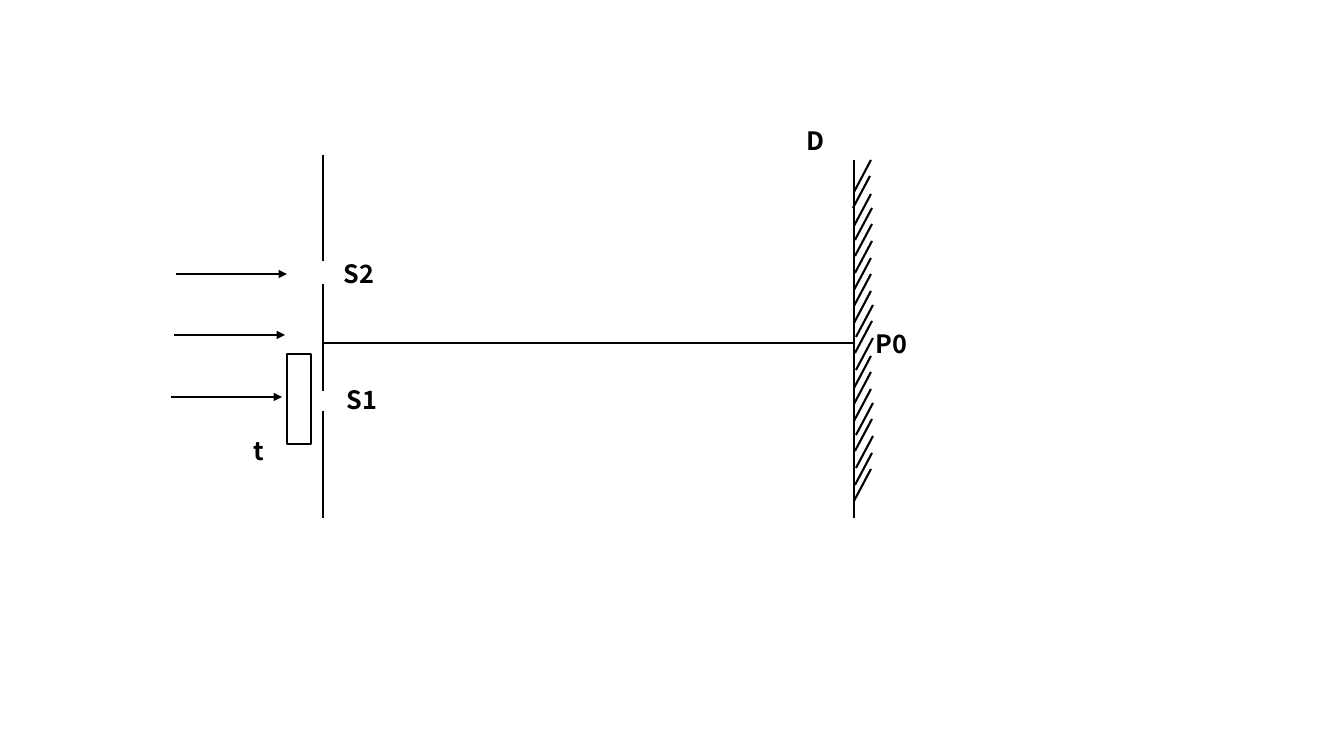
import pptx
import pptx.util
import pptx.dml.color
import pptx.enum.shapes
import pptx.enum.text
import pptx.oxml
import pptx.oxml.ns

THEME = {
    "ink": pptx.dml.color.RGBColor(0, 0, 0),
    "paper": pptx.dml.color.RGBColor(255, 255, 255),
    "font": "Noto Sans CJK SC",
    "text_size": pptx.util.Pt(18),
    "line_width": pptx.util.Pt(1.5),
}

# Content, in pixels
SLIDE_SIZE = (1344, 756)
BARRIER_X = 323
SCREEN_X = 854
AXIS_Y = 343
BARRIER_PARTS = [(284, 391), (155, 261), (411, 518)]  # top, bottom
SCREEN_SPAN = (160, 518)
RAYS = [(176, 274), (174, 335), (171, 397)]  # left, height on slide
RAY_LENGTH = 111
PLATE = (287, 354, 24, 90)
LABELS = [("t", 244, 430), ("S1", 337, 379), ("S2", 334, 253),
          ("P0", 866, 323), ("D", 797, 120)]
LABEL_SIZE = (53, 40)
# Hand-spaced hatching: offset from the screen, top
HATCHES = [(0, 160), (-1, 176), (0, 194), (1, 208), (1, 224),
           (1, 241), (0, 258), (0, 274), (0, 291), (2, 305),
           (1, 321), (2, 338), (0, 356), (0, 372), (0, 389),
           (2, 403), (1, 419), (2, 436), (1, 453), (0, 469)]
HATCH_SIZE = (17, 32)


def emu(pixels):
    return pptx.util.Emu(round(pixels * 914400 / 100.8))


presentation = pptx.Presentation()
presentation.slide_width, presentation.slide_height = map(emu, SLIDE_SIZE)
slide = presentation.slides.add_slide(presentation.slide_layouts[6])


def style_outline(line):
    line.color.rgb = THEME["ink"]
    line.width = THEME["line_width"]


def add_line(x1, y1, x2, y2, arrow=False):
    connector = slide.shapes.add_connector(
        pptx.enum.shapes.MSO_CONNECTOR.STRAIGHT, *map(emu, (x1, y1, x2, y2)))
    style_outline(connector.line)
    if arrow:
        head = pptx.oxml.parse_xml(
            f'<a:tailEnd {pptx.oxml.ns.nsdecls("a")} type="triangle"/>')
        connector.line._get_or_add_ln().append(head)
    properties = connector._element.spPr
    properties.append(pptx.oxml.parse_xml(
        f'<a:effectLst {pptx.oxml.ns.nsdecls("a")}/>'))


def add_label(text, left, top):
    box = slide.shapes.add_textbox(*map(emu, (left, top, *LABEL_SIZE)))
    frame = box.text_frame
    frame.word_wrap = True
    frame.auto_size = pptx.enum.text.MSO_AUTO_SIZE.SHAPE_TO_FIT_TEXT
    paragraph = frame.paragraphs[0]
    paragraph.text = text
    paragraph.font.name = THEME["font"]
    paragraph.font.size = THEME["text_size"]
    paragraph.font.bold = True
    paragraph.font.color.rgb = THEME["ink"]


# Axis and double-slit barrier
add_line(BARRIER_X, AXIS_Y, SCREEN_X, AXIS_Y)
for top, bottom in BARRIER_PARTS:
    add_line(BARRIER_X, top, BARRIER_X, bottom)

# Incoming light
for left, y in RAYS:
    add_line(left, y, left + RAY_LENGTH, y, arrow=True)

# Plate in front of the lower slit
plate = slide.shapes.add_shape(
    pptx.enum.shapes.MSO_SHAPE.RECTANGLE, *map(emu, PLATE))
plate.shadow.inherit = False
plate.fill.solid()
plate.fill.fore_color.rgb = THEME["paper"]
style_outline(plate.line)

# Labels
for label in LABELS:
    add_label(*label)

# Hatched screen
add_line(SCREEN_X, SCREEN_SPAN[0], SCREEN_X, SCREEN_SPAN[1])
hatch_width, hatch_height = HATCH_SIZE
for offset, top in HATCHES:
    left = SCREEN_X + offset
    add_line(left, top + hatch_height, left + hatch_width, top)

presentation.save("out.pptx")
